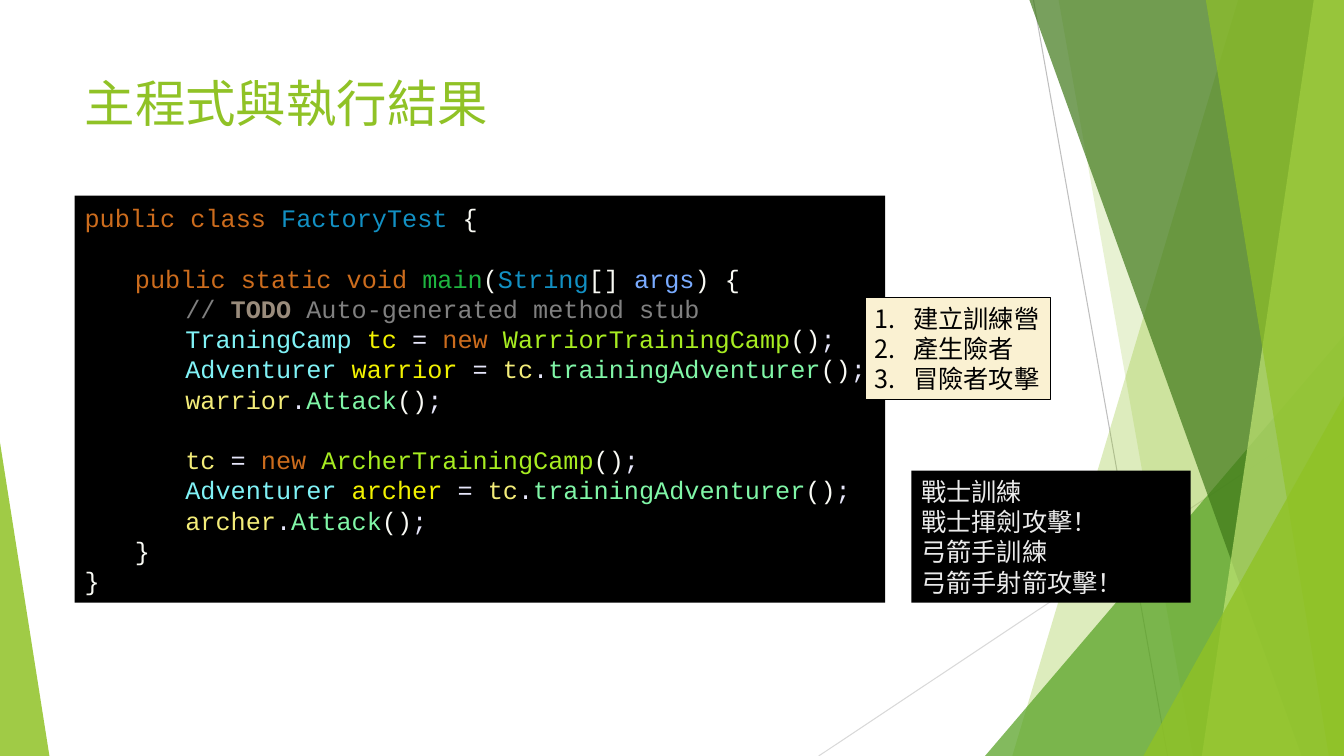
from pptx import Presentation
from pptx.dml.color import RGBColor
from pptx.enum import shapes, text
from pptx.oxml.xmlchemy import OxmlElement
from pptx.util import Inches, Pt

TITLE = "主程式與執行結果"
STEPS = ["建立訓練營", "產生險者", "冒險者攻擊"]
CONSOLE = ["戰士訓練", "戰士揮劍攻擊！", "弓箭手訓練", "弓箭手射箭攻擊！"]

CALL_END = [("bracket", "()"), ("symbol", ";")]


def create_camp(camp):
    return [("symbol", "= "), ("keyword", "new "), ("creation", camp)] + CALL_END


def train(name):
    return [("type", "Adventurer "), ("local", name + " "), ("symbol", "= "),
            ("use", "tc"), ("symbol", "."), ("method", "trainingAdventurer")] + CALL_END


def attack(name):
    return [("use", name), ("symbol", "."), ("method", "Attack")] + CALL_END


# (tab depth, blank line above, coloured spans)
CODE = [
    (0, False, [("keyword", "public class "), ("class", "FactoryTest "), ("bracket", "{")]),
    (1, True, [("keyword", "public static void "), ("main", "main"), ("bracket", "("),
               ("class", "String"), ("bracket", "[] "), ("argument", "args"), ("bracket", ") {")]),
    (2, False, [("comment", "// "), ("todo", "TODO"),
                ("comment", " Auto-generated method stub")]),
    (2, False, [("type", "TraningCamp "), ("local", "tc ")] + create_camp("WarriorTrainingCamp")),
    (2, False, train("warrior")),
    (2, False, attack("warrior")),
    (2, True, [("use", "tc ")] + create_camp("ArcherTrainingCamp")),
    (2, False, train("archer")),
    (2, False, attack("archer")),
    (1, False, [("bracket", "}")]),
    (0, False, [("bracket", "}")]),
]

THEME = {
    "title_size": 36, "body_size": 18, "code_line": 21.6,
    "font": "Lato", "code_font": "Courier New",
    "green": "90C226", "black": "000000", "cream": "FAF1D2", "console": "EBEBEB",
    "keyword": "CC6C1D", "class": "1290C3", "bracket": "F9FAF4", "main": "1EB540",
    "argument": "79ABFF", "comment": "808080", "todo": "9A8C7C", "type": "80F2F6",
    "local": "F2F200", "symbol": "E6E6FA", "creation": "A7EC21", "use": "F3EC79",
    "method": "80F6A7",
    "mid_green": "54A021", "dark_green": "3F7819", "pale_green": "C0E474",
    "line": "BFBFBF", "pale_line": "D9D9D9",
}

WIDTH, HEIGHT = 13.33, 7.5
RAYS = [((10.25, 0), (11.58, HEIGHT), "line"), ((WIDTH, 4.03), (8.12, HEIGHT), "pale_line")]
# Bands run to the right edge: (top left x, bottom left x, colour, opacity %)
# Triangles stand on the bottom edge: (left, top, width, apex, colour, opacity %)
FACETS = [
    ("band", (12.28, 10.04), "green", 30),
    ("band", (10.5, 11.83), "green", 20),
    ("triangle", (9.77, 3.33, 3.56, 1), "mid_green", 72),
    ("band", (10.21, 12.91), "dark_green", 70),
    ("band", (13.03, 11.92), "pale_green", 70),
    ("band", (11.96, 13.18), "green", 65),
    ("triangle", (11.34, 3.93, 1.99, 1), "green", 80),
    ("triangle", (0, 4.39, 0.49, 0), "green", 85),
]


def colour(name):
    return RGBColor.from_string(THEME[name])


def child(parent, tag, **attributes):
    element = OxmlElement(tag)
    for key, value in attributes.items():
        element.set(key, str(value))
    parent.append(element)
    return element


def paint(shape, fill, opacity=100):
    shape.shadow.inherit = False
    shape.fill.solid()
    shape.fill.fore_color.rgb = colour(fill)
    shape.line.fill.background()
    if opacity < 100:
        tint = shape.fill._xPr.find(".//{*}srgbClr")
        child(tint, "a:alpha", val=opacity * 1000)


def style(font, size, name, ink):
    font.size = Pt(THEME[size])
    font.name = THEME[name]
    font.color.rgb = colour(ink)


def add_ray(page, start, end, ink):
    ray = page.shapes.add_connector(shapes.MSO_CONNECTOR.STRAIGHT,
                                    *(Inches(v) for v in start + end))
    ray.line.color.rgb = colour(ink)
    ray.line.width = Pt(0.75)
    child(ray._element.spPr, "a:effectLst")


def add_band(page, top_x, bottom_x):
    corners = [(top_x, 0), (WIDTH, 0), (WIDTH, HEIGHT), (bottom_x, HEIGHT)]
    points = [(Inches(x), Inches(y)) for x, y in corners]
    builder = page.shapes.build_freeform(*points[0])
    builder.add_line_segments(points[1:])
    return builder.convert_to_shape()


def add_triangle(page, left, top, width, apex):
    shape = page.shapes.add_shape(shapes.MSO_SHAPE.ISOSCELES_TRIANGLE, Inches(left),
                                  Inches(top), Inches(width), Inches(HEIGHT - top))
    shape.adjustments[0] = apex
    return shape


def add_panel(page, left, top, width, height, fill, wrap=True):
    box = page.shapes.add_shape(shapes.MSO_SHAPE.RECTANGLE, Inches(left), Inches(top),
                                Inches(width), Inches(height))
    paint(box, fill)
    frame = box.text_frame
    frame.word_wrap = wrap
    frame.vertical_anchor = text.MSO_ANCHOR.MIDDLE
    return box


def write_lines(frame, lines):
    """Fill the frame with one left-aligned paragraph per line."""
    frame.text = "\n".join(lines)
    for para in frame.paragraphs:
        para.alignment = text.PP_ALIGN.LEFT
    return frame.paragraphs


def add_code(page):
    box = add_panel(page, 0.74, 1.94, 8.04, 4.04, "black")
    paras = write_lines(box.text_frame, ["\t" * depth for depth, _, _ in CODE])
    for para, (_, gap, spans) in zip(paras, CODE):
        stops = child(para._p.get_or_add_pPr(), "a:tabLst")
        for depth in (1, 2):
            child(stops, "a:tab", pos=Inches(0.5 * depth), algn="l")
        if gap:
            para.space_before = Pt(THEME["code_line"])
        for run in para.runs:
            style(run.font, "body_size", "code_font", "bracket")
        for ink, words in spans:
            span = para.add_run()
            span.text = words
            style(span.font, "body_size", "code_font", ink)
            span.font.bold = ink == "todo"


def add_console(page):
    box = add_panel(page, 9.04, 4.67, 2.77, 1.31, "black")
    for para in write_lines(box.text_frame, CONSOLE):
        style(para.runs[0].font, "body_size", "code_font", "console")


def add_steps(page):
    box = add_panel(page, 8.58, 2.95, 1.84, 1.01, "cream", wrap=False)
    box.line.color.rgb = colour("black")
    box.line.width = Pt(0.75)
    for para in write_lines(box.text_frame, STEPS):
        props = para._p.get_or_add_pPr()
        props.set("marL", str(Inches(0.38)))
        props.set("indent", str(-Inches(0.38)))
        child(props, "a:buFont", typeface="+mj-lt")
        child(props, "a:buAutoNum", type="arabicPeriod")
        style(para.runs[0].font, "body_size", "font", "black")


def add_title(page):
    title = page.shapes.title
    title.left, title.top = Inches(0.74), Inches(0.67)
    title.width, title.height = Inches(9.4), Inches(1.44)
    title.text_frame.vertical_anchor = text.MSO_ANCHOR.TOP
    para = write_lines(title.text_frame, [TITLE])[0]
    style(para.runs[0].font, "title_size", "font", "green")


def main():
    deck = Presentation()
    deck.slide_width, deck.slide_height = Inches(WIDTH), Inches(HEIGHT)
    page = deck.slides.add_slide(deck.slide_layouts.get_by_name("Title Only"))
    for ray in RAYS:
        add_ray(page, *ray)
    makers = {"band": add_band, "triangle": add_triangle}
    for kind, geometry, fill, opacity in FACETS:
        paint(makers[kind](page, *geometry), fill, opacity)
    add_title(page)
    add_code(page)
    add_console(page)
    add_steps(page)
    deck.save("out.pptx")


if __name__ == "__main__":
    main()
